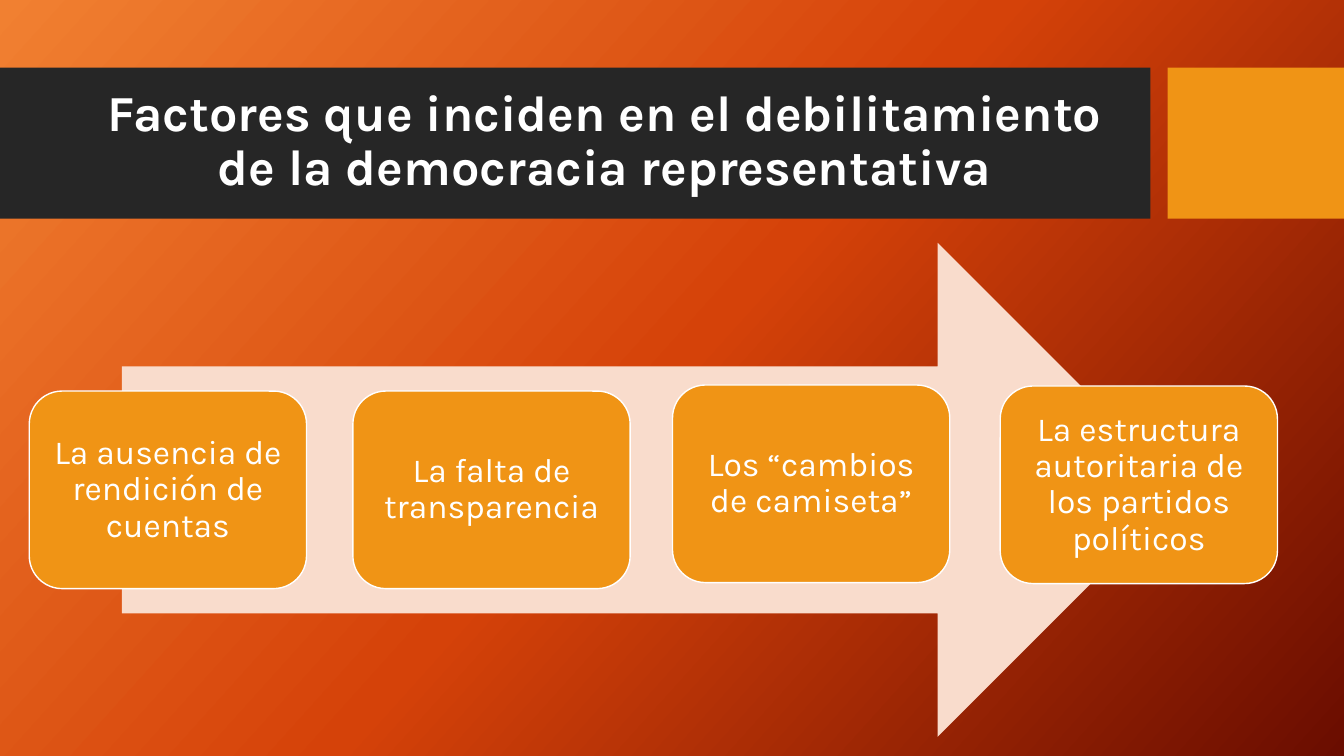
"""Build a slide on the factors that weaken representative democracy."""
import copy
from dataclasses import dataclass

import pptx
import pptx.dml.color
import pptx.enum.shapes
import pptx.enum.text
import pptx.oxml.ns
import pptx.shapes.autoshape
import pptx.slide
import pptx.text.text
import pptx.util

EMU_PER_PX = 9144
FONT = "Karla"
WHITE = pptx.dml.color.RGBColor(0xFF, 0xFF, 0xFF)
CHARCOAL = pptx.dml.color.RGBColor(0x26, 0x26, 0x26)
AMBER = pptx.dml.color.RGBColor(0xF0, 0x94, 0x15)
PEACH = pptx.dml.color.RGBColor(0xF9, 0xDC, 0xCC)
BACKGROUND_STOPS = (
    (0.0, pptx.dml.color.RGBColor(0xF1, 0x80, 0x31)),
    (0.5, pptx.dml.color.RGBColor(0xD5, 0x42, 0x09)),
    (1.0, pptx.dml.color.RGBColor(0x6A, 0x0D, 0x00)),
)
BACKGROUND_ANGLE = 360 - 42
SLIDE_WIDTH, SLIDE_HEIGHT = 1333, 750
BAND_TOP, BAND_HEIGHT = 67, 150
CARD_WIDTH, CARD_HEIGHT = 275, 196
CARD_INSET = 10
SHAPES = pptx.enum.shapes.MSO_SHAPE


@dataclass(frozen=True)
class Block:
    """A filled shape with its place in px."""
    kind: SHAPES
    left: int
    top: int
    width: int
    height: int
    fill: pptx.dml.color.RGBColor


@dataclass(frozen=True)
class Factor:
    """One factor and the corner of its card in px."""
    text: str
    left: int
    top: int


BANDS = (
    Block(SHAPES.RECTANGLE, 0, BAND_TOP, 1141, BAND_HEIGHT, CHARCOAL),
    Block(SHAPES.RECTANGLE, 1158, BAND_TOP, 175, BAND_HEIGHT, AMBER),
)
ARROW = Block(SHAPES.RIGHT_ARROW, 121, 241, 1054, 490, PEACH)
FACTORS = (
    Factor("La ausencia de rendición de cuentas", 29, 388),
    Factor("La falta de transparencia", 350, 388),
    Factor("Los “cambios de camiseta”", 667, 382),
    Factor("La estructura autoritaria de los partidos políticos", 992, 383),
)


def px(length: int) -> pptx.util.Emu:
    """Turn px into EMU."""
    return pptx.util.Emu(length * EMU_PER_PX)


def paint_background(page: pptx.slide.Slide) -> None:
    """Fill the page with the three-colour gradient."""
    fill = page.background.fill
    fill.gradient()
    fill.gradient_angle = BACKGROUND_ANGLE
    stop_list = next(page.element.iter(pptx.oxml.ns.qn("a:gsLst")))
    stop_list.append(copy.deepcopy(stop_list[0]))
    for stop, (position, color) in zip(fill.gradient_stops, BACKGROUND_STOPS):
        stop.position = position
        stop.color.rgb = color


def draw_block(page: pptx.slide.Slide, block: Block) -> pptx.shapes.autoshape.Shape:
    """Add a flat shape without outline."""
    box = page.shapes.add_shape(
        block.kind, px(block.left), px(block.top), px(block.width), px(block.height)
    )
    box.shadow.inherit = False
    box.fill.solid()
    box.fill.fore_color.rgb = block.fill
    box.line.fill.background()
    return box


def write_text(frame: pptx.text.text.TextFrame, text: str, size: int, bold: bool) -> None:
    """Write one centred white paragraph."""
    frame.word_wrap = True
    frame.auto_size = pptx.enum.text.MSO_AUTO_SIZE.NONE
    frame.vertical_anchor = pptx.enum.text.MSO_ANCHOR.MIDDLE
    para = frame.paragraphs[0]
    para.text = text
    para.alignment = pptx.enum.text.PP_ALIGN.CENTER
    para.line_spacing = 0.9
    para.font.name = FONT
    para.font.size = pptx.util.Pt(size)
    para.font.bold = bold
    para.font.color.rgb = WHITE


def draw_factor(page: pptx.slide.Slide, factor: Factor) -> None:
    """Add a rounded card that holds one factor."""
    card = draw_block(page, Block(SHAPES.ROUNDED_RECTANGLE, factor.left, factor.top,
                                  CARD_WIDTH, CARD_HEIGHT, AMBER))
    card.line.color.rgb = WHITE
    card.line.width = pptx.util.Pt(1)
    frame = card.text_frame
    frame.margin_left = frame.margin_right = px(CARD_INSET)
    frame.margin_top = frame.margin_bottom = px(CARD_INSET)
    write_text(frame, factor.text, 24, False)


def main() -> None:
    """Build and save the deck."""
    deck = pptx.Presentation()
    deck.slide_width, deck.slide_height = px(SLIDE_WIDTH), px(SLIDE_HEIGHT)
    page = deck.slides.add_slide(deck.slide_layouts.get_by_name("Title Only"))
    paint_background(page)

    title = page.shapes.title
    title.left, title.top, title.width, title.height = px(74), px(82), px(1051), px(118)
    write_text(title.text_frame,
               "Factores que inciden en el debilitamiento de la democracia representativa",
               36, True)
    for band in BANDS:
        title.element.addprevious(draw_block(page, band).element)

    draw_block(page, ARROW)
    for factor in FACTORS:
        draw_factor(page, factor)
    deck.save("out.pptx")


if __name__ == "__main__":
    main()
